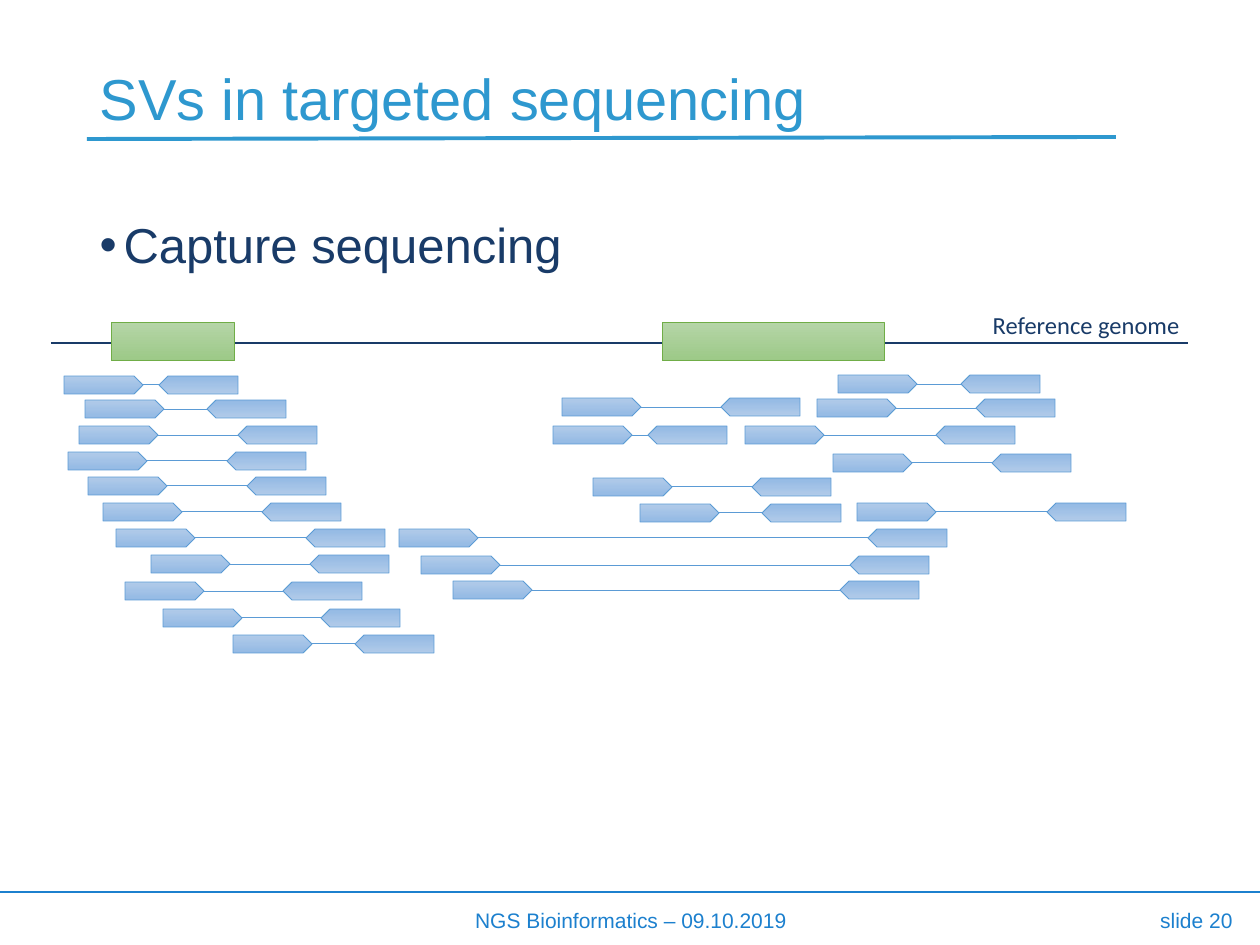
"""Build the slide on structural variants in targeted sequencing."""
from dataclasses import dataclass

from lxml import etree
from pptx import Presentation
from pptx import util as u
from pptx.dml.color import RGBColor
from pptx.enum import shapes, text
from pptx.oxml.ns import qn

PX = u.Inches(1) / 126


@dataclass(frozen=True)
class Theme:
    heading: str = "2E98CF"
    ink: str = "193B68"
    footer: str = "1C80CE"
    read_edge: str = "5B9BD5"
    read_fill: tuple = ("B1CBE9", "93B9E4")
    target_edge: str = "70AD47"
    target_fill: tuple = ("B5D5A7", "9CC987")
    title_size: int = 33
    body_size: int = 28
    label_size: int = 14
    footer_size: int = 12


theme = Theme()
prs = Presentation()
prs.slide_width, prs.slide_height = u.Inches(10), u.Inches(7.5)
slide = prs.slides.add_slide(prs.slide_layouts[1])


def add_line(kind, ends, color, width):
    line = slide.shapes.add_connector(kind, *[u.Emu(round(v * PX)) for v in ends])
    line.line.color.rgb = RGBColor.from_string(color)
    line.line.width = u.Pt(width)
    etree.SubElement(line._element.spPr, qn("a:effectLst"))


def add_block(kind, box, fill, edge, rotation=0):
    block = slide.shapes.add_shape(kind, *[u.Emu(round(v * PX)) for v in box])
    block.shadow.inherit = False
    block.rotation = rotation
    block.fill.gradient()
    block.fill.gradient_angle = 270
    for stop, color in zip(block.fill.gradient_stops, fill):
        stop.color.rgb = RGBColor.from_string(color)
    block.line.color.rgb = RGBColor.from_string(edge)
    block.line.width = u.Pt(0.5)


STRAIGHT, ELBOW = shapes.MSO_CONNECTOR.STRAIGHT, shapes.MSO_CONNECTOR.ELBOW
add_line(STRAIGHT, (0, 892, 1260, 892), theme.footer, 1)
add_line(STRAIGHT, (87, 139, 1116, 137), theme.heading, 2.25)
add_line(STRAIGHT, (51, 343, 1188, 343), theme.ink, 1.5)

title, body = slide.placeholders
footer, number, genome = [slide.shapes.add_textbox(0, 0, 0, 0) for _ in range(3)]
LEFT, CENTER, RIGHT = text.PP_ALIGN.LEFT, text.PP_ALIGN.CENTER, text.PP_ALIGN.RIGHT
TOP, MIDDLE = text.MSO_ANCHOR.TOP, text.MSO_ANCHOR.MIDDLE
wording = [
    (title, (87, 10, 1086, 183), "SVs in targeted sequencing", LEFT, MIDDLE, 0.9,
     "Arial", theme.title_size, theme.heading),
    (body, (87, 179, 1086, 680), "Capture sequencing", LEFT, TOP, 1.5,
     "Arial", theme.body_size, theme.ink),
    (footer, (406, 901, 450, 38), "NGS Bioinformatics – 09.10.2019", CENTER, TOP, 1.0,
     "Arial", theme.footer_size, theme.footer),
    (number, (1046, 901, 199, 38), "slide 20", RIGHT, TOP, 1.0,
     "Arial", theme.footer_size, theme.footer),
    (genome, (960, 304, 232, 43), "Reference genome", RIGHT, TOP, 1.0,
     "Calibri", theme.label_size, theme.ink),
]
for holder, box, words, align, anchor, spacing, font, size, color in wording:
    holder.left, holder.top, holder.width, holder.height = [
        u.Emu(round(v * PX)) for v in box]
    frame = holder.text_frame
    frame.text = words
    frame.word_wrap = True
    frame.auto_size = text.MSO_AUTO_SIZE.NONE
    frame.vertical_anchor = anchor
    paragraph = frame.paragraphs[0]
    paragraph.alignment = align
    paragraph.line_spacing = spacing
    paragraph.space_before = u.Pt(0)
    run = paragraph.runs[0]
    run.font.name = font
    run.font.size = u.Pt(size)
    run.font.color.rgb = RGBColor.from_string(color)

bullet = body.text_frame.paragraphs[0]._p.get_or_add_pPr()
bullet.set("marL", str(u.Inches(0.19)))
bullet.set("indent", str(-u.Inches(0.19)))
etree.SubElement(bullet, qn("a:buFont"), typeface="Arial")
etree.SubElement(bullet, qn("a:buChar"), char="•")

READ_WIDTH, READ_HEIGHT = 79, 18
read_pairs = [
    (64, 159, 376), (838, 961, 375), (85, 207, 400), (79, 238, 426),
    (68, 227, 452), (88, 247, 477), (103, 262, 503), (151, 310, 555),
    (116, 306, 529), (125, 283, 582), (163, 321, 609), (233, 355, 635),
    (399, 868, 529), (421, 850, 556), (453, 840, 581), (817, 976, 399),
    (562, 721, 398), (553, 648, 426), (593, 752, 478), (640, 762, 504),
    (745, 936, 426), (857, 1047, 503), (833, 992, 454),
]
for forward, reverse, top in read_pairs:
    for left, rotation in ((forward, 0), (reverse, 180)):
        add_block(shapes.MSO_SHAPE.PENTAGON, (left, top, READ_WIDTH, READ_HEIGHT),
                  theme.read_fill, theme.read_edge, rotation)
    middle = top + READ_HEIGHT // 2
    add_line(ELBOW, (forward + READ_WIDTH, middle, reverse, middle),
             theme.read_edge, 0.5)

for left, width in ((111, 124), (662, 223)):
    add_block(shapes.MSO_SHAPE.RECTANGLE, (left, 323, width, 38),
              theme.target_fill, theme.target_edge)

prs.save("out.pptx")
